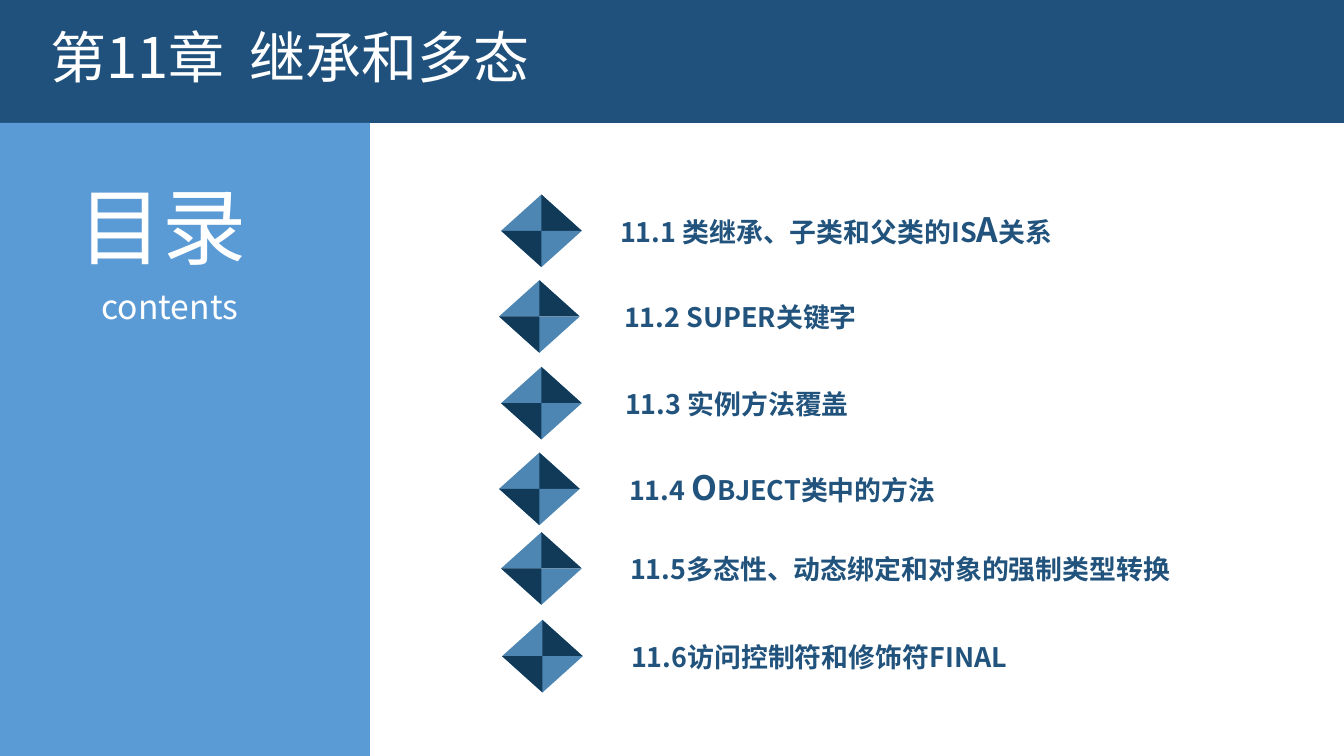
from dataclasses import dataclass

from pptx import Presentation
from pptx.dml.color import RGBColor
from pptx.enum.shapes import MSO_SHAPE as Preset
from pptx.enum.text import MSO_ANCHOR as Anchor
from pptx.enum.text import MSO_AUTO_SIZE as AutoSize
from pptx.enum.text import PP_ALIGN as Align
from pptx.oxml.ns import qn
from pptx.shapes.base import BaseShape
from pptx.shapes.shapetree import GroupShapes, SlideShapes
from pptx.util import Inches, Pt

COLOURS = {
    "banner": "20517C",
    "sidebar": "5B9BD5",
    "light_facet": "4D86B3",
    "dark_facet": "113A59",
    "section": "21537D",
    "white": "FFFFFF",
}
FONT = "Noto Sans CJK SC"
FACET_WIDTH, FACET_HEIGHT = 0.4, 0.36
SECTION_OFFSET = 0.1


@dataclass
class Box:
    left: float
    top: float
    width: float
    height: float


@dataclass
class Section:
    title: str
    marker_left: float
    top: float
    title_left: float
    title_width: float


SECTIONS = [
    Section("11.1 类继承、子类和父类的isA关系", 4.97, 1.93, 6.07, 6.57),
    Section("11.2 super关键字", 4.95, 2.78, 6.11, 2.87),
    Section("11.3 实例方法覆盖", 4.97, 3.64, 6.12, 4.99),
    Section("11.4 Object类中的方法", 4.95, 4.49, 6.16, 3.75),
    Section("11.5多态性、动态绑定和对象的强制类型转换", 4.97, 5.28, 6.17, 6.93),
    Section("11.6访问控制符和修饰符final", 4.98, 6.15, 6.18, 6.31),
]


def paint(shape: BaseShape, colour: str) -> None:
    """Give a shape a plain fill without line or shadow."""
    shape.shadow.inherit = False
    shape.fill.solid()
    shape.fill.fore_color.rgb = RGBColor.from_string(COLOURS[colour])
    shape.line.fill.background()


def place(shape: BaseShape, box: Box) -> None:
    """Move and size a shape."""
    shape.left, shape.top = Inches(box.left), Inches(box.top)
    shape.width, shape.height = Inches(box.width), Inches(box.height)


def write(shape: BaseShape, text: str, size: int, colour: str = "white",
          align: Align = Align.LEFT, inset: float = 0.1) -> None:
    """Fill a shape with one formatted paragraph."""
    frame = shape.text_frame
    frame.text = text
    frame.word_wrap = True
    frame.auto_size = AutoSize.SHAPE_TO_FIT_TEXT
    frame.vertical_anchor = Anchor.TOP
    frame.margin_left = frame.margin_right = Inches(inset)
    frame.margin_top = frame.margin_bottom = Inches(inset / 2)
    frame.paragraphs[0].alignment = align
    run = frame.paragraphs[0].runs[0]
    run.font.size = Pt(size)
    run.font.name = FONT
    run.font.color.rgb = RGBColor.from_string(COLOURS[colour])
    properties = run._r.get_or_add_rPr()
    east_asian = properties.makeelement(qn("a:ea"), {"typeface": FONT})
    properties.find(qn("a:latin")).addnext(east_asian)


def add_panel(shapes: SlideShapes, box: Box, colour: str) -> None:
    """Draw a coloured background rectangle."""
    panel = shapes.add_shape(Preset.RECTANGLE, 0, 0, 0, 0)
    place(panel, box)
    paint(panel, colour)


def add_label(shapes: SlideShapes, box: Box) -> BaseShape:
    """Add an empty text box."""
    label = shapes.add_textbox(0, 0, 0, 0)
    place(label, box)
    return label


def add_half(shapes: GroupShapes, left: float, middle: float, side: int) -> None:
    """Draw the upper (side -1) or lower (side 1) half of a diamond."""
    triangle = shapes.add_shape(Preset.ISOSCELES_TRIANGLE, 0, 0, 0, 0)
    place(triangle, Box(left, min(middle, middle + side * FACET_HEIGHT),
                        2 * FACET_WIDTH, FACET_HEIGHT))
    triangle.rotation = 180 if side > 0 else 0
    paint(triangle, "light_facet")
    centre = left + FACET_WIDTH
    outline = shapes.build_freeform(
        Inches(centre), Inches(middle + side * FACET_HEIGHT))
    outline.add_line_segments([
        (Inches(centre), Inches(middle)),
        (Inches(centre - side * FACET_WIDTH), Inches(middle)),
    ])
    paint(outline.convert_to_shape(), "dark_facet")


def add_section(shapes: SlideShapes, section: Section) -> None:
    """Draw a diamond marker and its section title."""
    marker = shapes.add_group_shape()
    for side in (-1, 1):
        add_half(marker.shapes, section.marker_left,
                 section.top + FACET_HEIGHT, side)
    label = add_label(shapes, Box(section.title_left, section.top + SECTION_OFFSET,
                                  section.title_width, 0.48))
    write(label, section.title, 24, "section", inset=0.08)
    run = label.text_frame.paragraphs[0].runs[0]
    run.font.bold = True
    run._r.get_or_add_rPr().set("cap", "small")


def main() -> None:
    """Build the contents slide."""
    deck = Presentation()
    deck.slide_width, deck.slide_height = Inches(13.33), Inches(7.5)
    slide = deck.slides.add_slide(deck.slide_layouts[5])
    shapes = slide.shapes
    chapter = shapes.title
    add_panel(shapes, Box(-0.01, -0.01, 13.36, 1.23), "banner")
    add_panel(shapes, Box(0, 1.22, 3.67, 6.28), "sidebar")
    shapes._spTree.append(chapter._element)
    place(chapter, Box(0.4, 0.17, 8.06, 0.77))
    write(chapter, "第11章  继承和多态", 40)
    write(add_label(shapes, Box(0.68, 1.68, 2.19, 1.11)), "目录", 60,
          align=Align.JUSTIFY)
    write(add_label(shapes, Box(0.91, 2.79, 1.74, 0.51)), "contents", 24,
          align=Align.JUSTIFY)
    for section in SECTIONS:
        add_section(shapes, section)
    deck.save("out.pptx")


if __name__ == "__main__":
    main()
